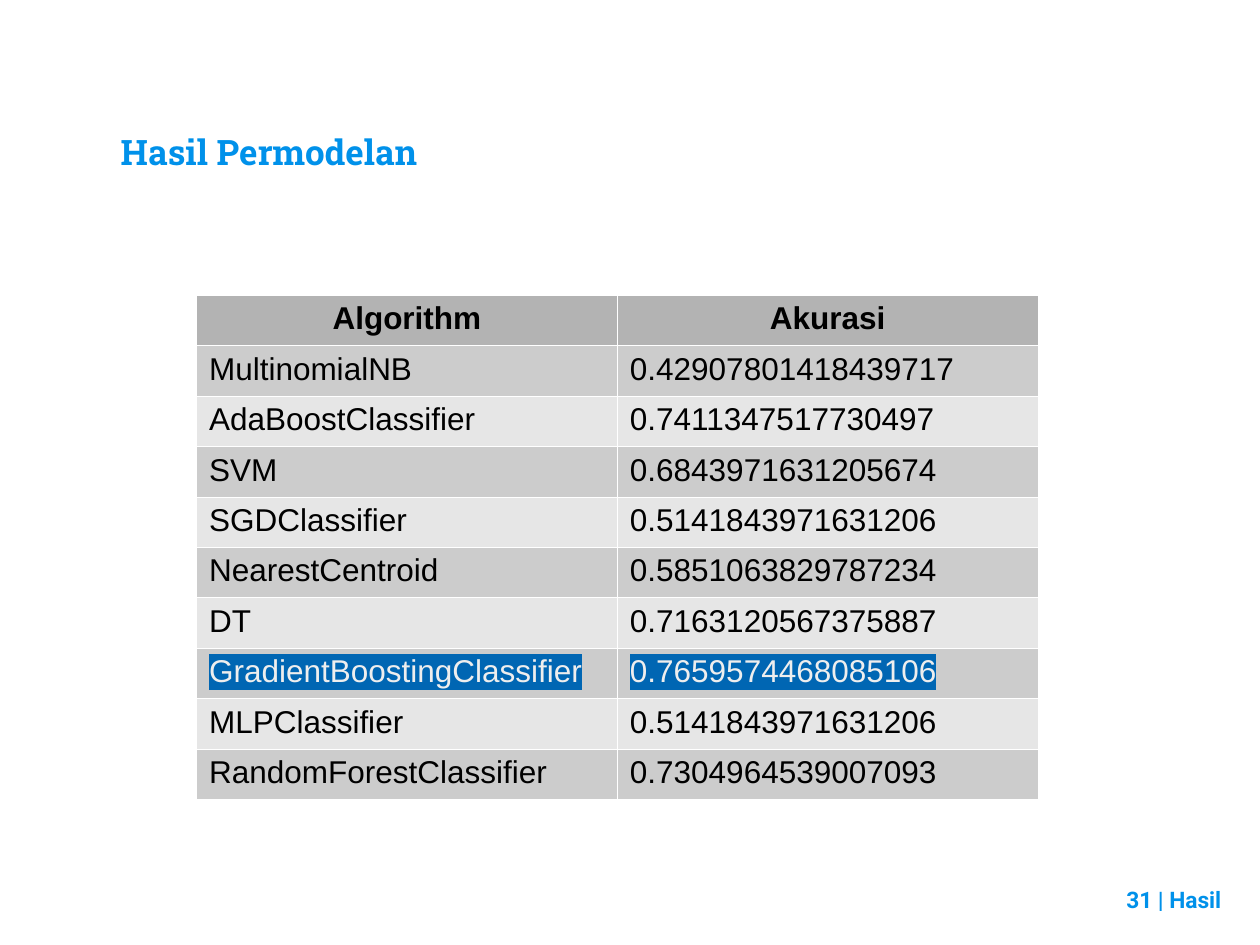
"""Build the model accuracy results slide."""
from lxml import etree
from pptx import Presentation
from pptx.dml.color import RGBColor
from pptx.enum.text import MSO_ANCHOR, PP_ALIGN
from pptx.oxml.ns import qn
from pptx.util import Inches, Pt

LEFT, CENTER, RIGHT = PP_ALIGN.LEFT, PP_ALIGN.CENTER, PP_ALIGN.RIGHT
TOP, BOTTOM = MSO_ANCHOR.TOP, MSO_ANCHOR.BOTTOM

BLUE = RGBColor(0x00, 0x91, 0xEA)
BLACK = RGBColor(0x00, 0x00, 0x00)
WHITE = RGBColor(0xFF, 0xFF, 0xFF)
PALE = RGBColor(0xEE, 0xEE, 0xEE)
MARK = RGBColor(0x00, 0x66, 0xB3)
HEADER = RGBColor(0xB3, 0xB3, 0xB3)
BANDS = (RGBColor(0xE6, 0xE6, 0xE6), RGBColor(0xCC, 0xCC, 0xCC))

TEXTS = [
    ("Hasil Permodelan", (0.86, 1, 8.28, 0.47), LEFT, BOTTOM,
     {"name": "Roboto Slab", "size": Pt(20), "bold": True}),
    ("31 | Hasil", (8.3, 6.93, 1.49, 0.57), RIGHT, TOP,
     {"name": "Roboto", "size": Pt(13), "bold": True}),
]
ROWS = [
    ("Algorithm", "Akurasi"),
    ("MultinomialNB", "0.42907801418439717"),
    ("AdaBoostClassifier", "0.7411347517730497"),
    ("SVM", "0.6843971631205674"),
    ("SGDClassifier", "0.5141843971631206"),
    ("NearestCentroid", "0.5851063829787234"),
    ("DT", "0.7163120567375887"),
    ("GradientBoostingClassifier", "0.7659574468085106"),
    ("MLPClassifier", "0.5141843971631206"),
    ("RandomForestClassifier", "0.7304964539007093"),
]
BEST = max(ROWS[1:], key=lambda row: float(row[1]))
TABLE_BOX = (1.56, 2.34, 6.68, 3.87)
BORDER = Pt(0.06)


def write(tf, text, align, color, fmt):
    p = tf.paragraphs[0]
    p.alignment = align
    r = p.add_run()
    r.text = text
    for key, value in fmt.items():
        setattr(r.font, key, value)
    r.font.color.rgb = color
    return r


def set_margins(obj, x, y):
    for side, value in {"left": x, "right": x, "top": y, "bottom": y}.items():
        setattr(obj, f"margin_{side}", Inches(value))


def add_color(parent, color):
    etree.SubElement(parent, qn("a:srgbClr"), val=str(color))


def highlight(r, color):
    mark = etree.Element(qn("a:highlight"))
    add_color(mark, color)
    r._r.get_or_add_rPr().find(qn("a:solidFill")).addnext(mark)


def set_borders(cell, color):
    tcPr = cell._tc.get_or_add_tcPr()
    for i, side in enumerate("LRTB"):
        ln = etree.Element(qn(f"a:ln{side}"), w=str(int(BORDER)))
        add_color(etree.SubElement(ln, qn("a:solidFill")), color)
        tcPr.insert(i, ln)


def add_text(s, text, box, align, anchor, fmt):
    tf = s.shapes.add_textbox(*map(Inches, box)).text_frame
    tf.word_wrap = True
    tf.vertical_anchor = anchor
    set_margins(tf, 0.1, 0.1)
    write(tf, text, align, BLUE, fmt)


def add_results(s):
    table = s.shapes.add_table(len(ROWS), len(ROWS[0]), *map(Inches, TABLE_BOX)).table
    for i, row in enumerate(ROWS):
        head, best = i == 0, row == BEST
        fmt = {"name": "Arial", "size": Pt(18), "bold": head}
        for j, text in enumerate(row):
            cell = table.cell(i, j)
            set_margins(cell, 0.1, 0.05)
            cell.fill.solid()
            cell.fill.fore_color.rgb = HEADER if head else BANDS[i % 2]
            set_borders(cell, WHITE)
            r = write(cell.text_frame, text, CENTER if head else LEFT,
                      PALE if best else BLACK, fmt)
            if best:
                highlight(r, MARK)


def main():
    prs = Presentation()
    prs.slide_width, prs.slide_height = Inches(10), Inches(7.5)
    s = prs.slides.add_slide(prs.slide_layouts[6])
    for item in TEXTS:
        add_text(s, *item)
    add_results(s)
    prs.save("out.pptx")


if __name__ == "__main__":
    main()
